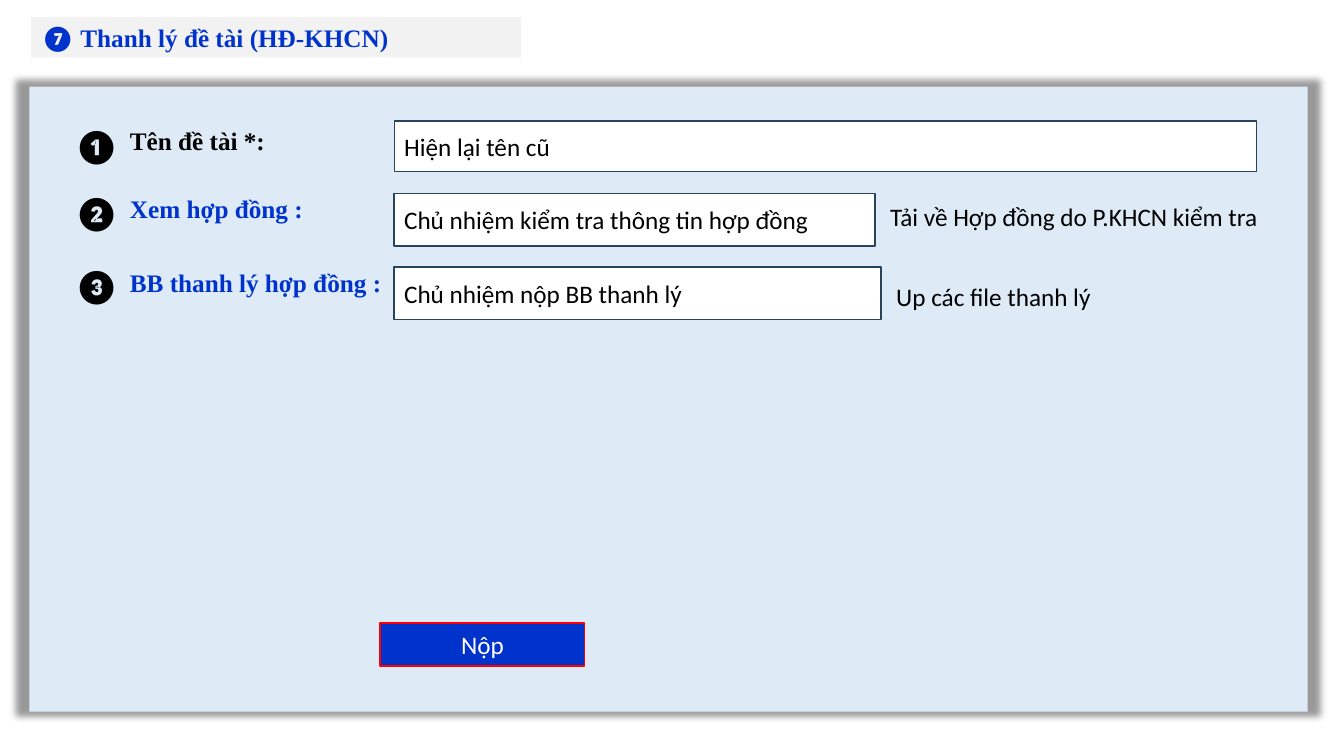
from lxml.etree import SubElement
from pptx import Presentation
from pptx.dml.color import RGBColor
from pptx.enum.shapes import MSO_SHAPE as Shape
from pptx.enum.text import MSO_ANCHOR as Anchor, MSO_AUTO_SIZE as AutoSize, PP_ALIGN as Align
from pptx.oxml.ns import qn
from pptx.util import Inches, Pt

BLACK, BLUE, WHITE = "000000", "0033CC", "FFFFFF"
SANS, SERIF = "Calibri", "Times New Roman"
NUMBER_LEFT, LABEL_LEFT, FIELD_LEFT = 0.64, 1.19, 3.91
NOTE_GAP = 0.05

deck = Presentation()
deck.slide_width, deck.slide_height = Inches(13.33), Inches(7.5)
page = deck.slides.add_slide(deck.slide_layouts[6])


def add_box(left, top, width, height, fill=None, line=None):
    """Add a rectangle, or a plain text box when there is no fill."""
    place = [Inches(length) for length in (left, top, width, height)]
    if fill is None:
        box = page.shapes.add_textbox(*place)
    else:
        box = page.shapes.add_shape(Shape.RECTANGLE, *place)
        box.shadow.inherit = False
        box.fill.solid()
        box.fill.fore_color.rgb = RGBColor.from_string(fill)
        if line:
            box.line.color.rgb = RGBColor.from_string(line)
            box.line.width = Pt(1)
        else:
            box.line.fill.background()
    return box


def write(box, *runs, align=Align.LEFT, anchor=Anchor.TOP):
    """Fill a box with runs of (text, size, font, colour, bold)."""
    frame = box.text_frame
    frame.word_wrap = True
    frame.vertical_anchor = anchor
    frame.auto_size = AutoSize.SHAPE_TO_FIT_TEXT if anchor == Anchor.TOP else AutoSize.NONE
    para = frame.paragraphs[0]
    para.alignment = align
    for text, size, font, colour, bold in runs:
        span = para.add_run()
        span.text = text
        span.font.size, span.font.name, span.font.bold = Pt(size), font, bold
        span.font.color.rgb = RGBColor.from_string(colour)


# Form panel with an even, slightly enlarged shadow
panel = add_box(0.29, 0.86, 12.68, 6.2, "DEEBF7")
effects = panel._element.spPr.find(qn("a:effectLst"))
shadow = SubElement(effects, qn("a:outerShdw"), blurRad=str(Pt(5)), sx="102000",
                    sy="102000", algn="ctr", rotWithShape="0")
tint = SubElement(shadow, qn("a:srgbClr"), val=BLACK)
SubElement(tint, qn("a:alpha"), val="40000")

title = add_box(0.31, 0.17, 4.86, 0.4, "F2F2F2")
write(title, ("❼", 18, SANS, BLUE, True),
      (" Thanh lý đề tài (HĐ-KHCN)", 18, SERIF, BLUE, True))

# number, number top, label, label top, label width, colour, entry, field top, width, height
rows = [
    ("❶", 1.19, "Tên đề tài *:", 1.19, 1.56, BLACK, "Hiện lại tên cũ", 1.2, 8.55, 0.5),
    ("❷", 1.85, "Xem hợp đồng :", 1.87, 2.11, BLUE,
     "Chủ nhiệm kiểm tra thông tin hợp đồng", 1.92, 4.77, 0.52),
    ("❸", 2.58, "BB thanh lý hợp đồng :", 2.6, 2.72, BLUE,
     "Chủ nhiệm nộp BB thanh lý", 2.65, 4.83, 0.52),
]
for (number, number_top, label, label_top, label_width, colour,
     entry, field_top, field_width, field_height) in rows:
    write(add_box(NUMBER_LEFT, number_top, 0.55, 0.5), (number, 24, SANS, BLACK, True))
    write(add_box(LABEL_LEFT, label_top, label_width, 0.4), (label, 18, SERIF, colour, True))
    field = add_box(FIELD_LEFT, field_top, field_width, field_height, WHITE, "28445D")
    write(field, (entry, 18, SANS, BLACK, False), anchor=Anchor.MIDDLE)

notes = [
    ("Tải về Hợp đồng do P.KHCN kiểm tra", 4.77, 1.95, 4.01),
    ("Up các file thanh lý", 4.83, 2.74, 2.85),
]
for note, field_width, top, width in notes:
    write(add_box(FIELD_LEFT + field_width + NOTE_GAP, top, width, 0.4),
          (note, 18, SANS, BLACK, False))

button = add_box(3.77, 6.18, 2.03, 0.43, BLUE, "FF0000")
write(button, ("Nộp", 18, SANS, WHITE, False), align=Align.CENTER, anchor=Anchor.MIDDLE)

deck.save("out.pptx")
